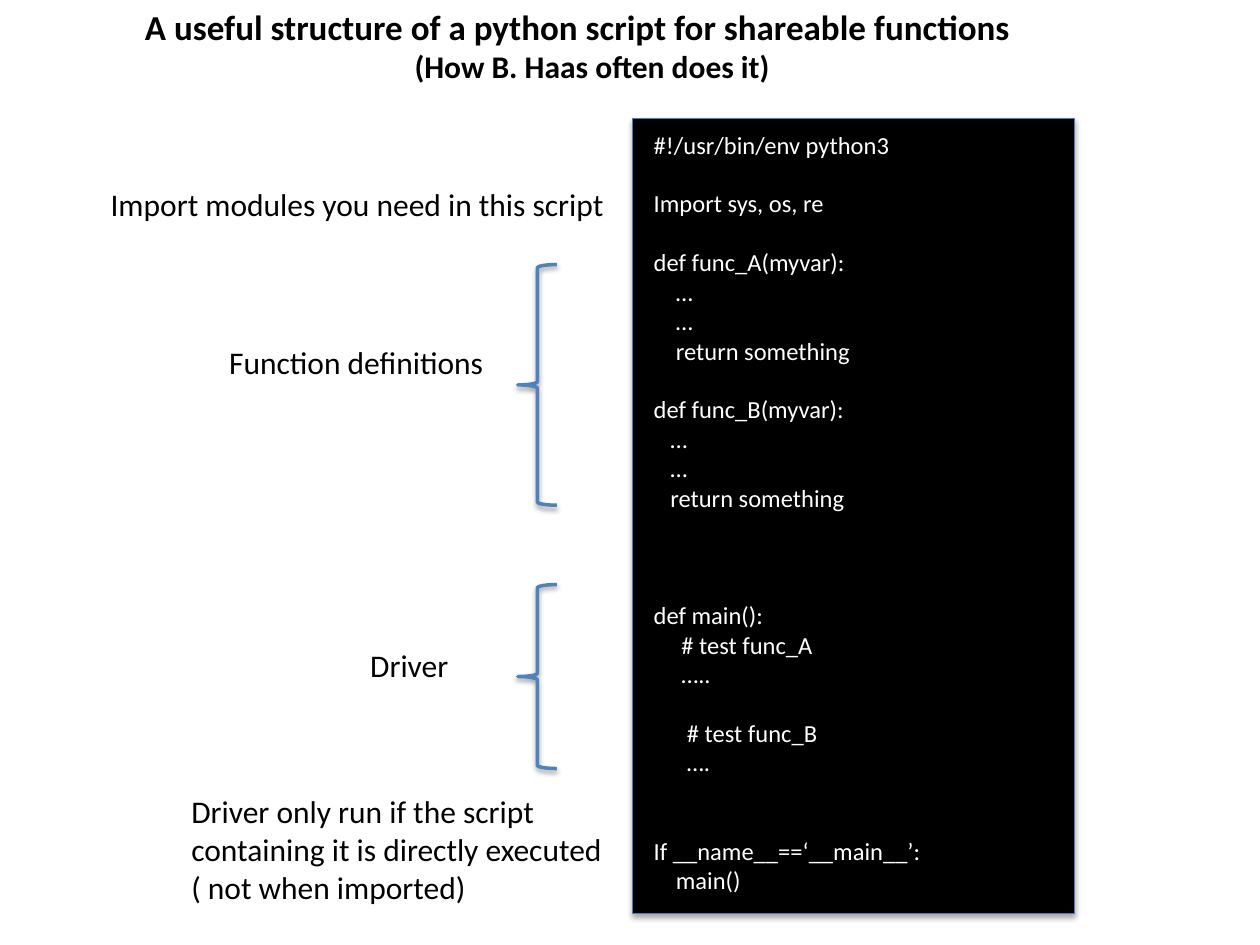
from lxml import etree
from pptx import Presentation
from pptx.dml.color import RGBColor
from pptx.enum.shapes import MSO_SHAPE
from pptx.enum.text import MSO_ANCHOR, PP_ALIGN
from pptx.oxml import parse_xml
from pptx.oxml.ns import nsdecls
from pptx.util import Inches, Pt

RECT, BRACE = MSO_SHAPE.RECTANGLE, MSO_SHAPE.LEFT_BRACE
LEFT, TOP = PP_ALIGN.LEFT, MSO_ANCHOR.TOP
FONT = "Calibri"
BLACK, WHITE, BLUE, DARK_BLUE = "000000", "FFFFFF", "4F81BD", "4B7EBC"
CODE_LINE = 16.8  # height of one line of code, in points

# Code blocks: blank lines above the block, then its lines
CODE = [
    (0, ["#!/usr/bin/env python3"]),
    (1, ["Import sys, os, re"]),
    (1, ["def func_A(myvar):", "    …", "    …", "    return something"]),
    (1, ["def func_B(myvar):", "   …", "   …", "   return something"]),
    (3, ["def main():", "     # test func_A", "     ….."]),
    (1, ["      # test func_B", "      …."]),
    (2, ["If __name__==‘__main__’:", "    main()"]),
]

# Notes beside the code: left, top, width, height, lines
NOTES = [
    (0.78, 1.42, 4.16, 0.4, ["Import modules you need in this script"]),
    (1.72, 2.67, 2.25, 0.4, ["Function definitions"]),
    (2.84, 5.08, 0.83, 0.4, ["Driver"]),
    (1.42, 6.24, 3.51, 1.01,
     ["Driver only run if the script containing it is directly executed",
      "( not when imported)"]),
]

# Braces: top, height
BRACES = [(2.1, 1.91), (4.64, 1.46)]


def rgb(value):
    return RGBColor.from_string(value)


def place(sp, left, top, width, height):
    sp.left, sp.top = Inches(left), Inches(top)
    sp.width, sp.height = Inches(width), Inches(height)


def add_line(tf, text, size=18, color=BLACK, bold=False, before=0, indent=0):
    """Write one paragraph, using the empty first one when it is free."""
    p = tf.paragraphs[0]
    if p.runs:
        p = tf.add_paragraph()
    if indent:
        p._p.get_or_add_pPr().set("marL", str(Inches(indent)))
    p.alignment = LEFT
    if before:
        p.space_before = Pt(before)
    r = p.add_run()
    r.text = text
    r.font.name, r.font.size, r.font.bold = FONT, Pt(size), bold
    r.font.color.rgb = rgb(color)


def add_text_frame(s, left, top, width, height, wrap=False):
    tf = s.shapes.add_textbox(Inches(left), Inches(top),
                              Inches(width), Inches(height)).text_frame
    tf.word_wrap = wrap
    return tf


def add_shadow(sp, opacity, distance):
    sp.shadow.inherit = False
    effects = sp._element.spPr.find(
        "{http://schemas.openxmlformats.org/drawingml/2006/main}effectLst")
    shadow = parse_xml(
        f'<a:outerShdw {nsdecls("a")} blurRad="{Pt(3.1)}" dist="{Pt(distance)}" '
        'dir="5400000" rotWithShape="0"/>')
    color = etree.SubElement(shadow, effects.tag.replace("effectLst", "srgbClr"),
                             val=BLACK)
    etree.SubElement(color, effects.tag.replace("effectLst", "alpha"),
                     val=str(opacity * 1000))
    effects.append(shadow)


def add_outlined(s, kind, left, top, width, height, line, weight, fill=None):
    sp = s.shapes.add_shape(kind, Inches(left), Inches(top),
                            Inches(width), Inches(height))
    if fill:
        sp.fill.solid()
        sp.fill.fore_color.rgb = rgb(fill)
    else:
        sp.fill.background()
    sp.line.color.rgb = rgb(line)
    sp.line.width = Pt(weight)
    return sp


def add_title(s):
    sp = s.shapes.title
    place(sp, 1.05, -0.01, 7.13, 0.77)
    tf = sp.text_frame
    tf.word_wrap, tf.vertical_anchor = False, TOP
    add_line(tf, "A useful structure of a python script for shareable functions",
             size=20, bold=True)
    add_line(tf, "(How B. Haas often does it)", bold=True, indent=2.14)


def add_code(s):
    panel = add_outlined(s, RECT, 5.02, 0.94, 3.51, 6.31, DARK_BLUE, 0.75, BLACK)
    add_shadow(panel, 35, 1.8)
    tf = add_text_frame(s, 5.09, 0.98, 2.34, 6.23)
    for blanks, lines in CODE:
        for i, text in enumerate(lines):
            before = 0 if i else blanks * CODE_LINE
            add_line(tf, text, size=14, color=WHITE, before=before)


def main():
    prs = Presentation()
    prs.slide_width, prs.slide_height = Inches(10), Inches(7.5)
    s = prs.slides.add_slide(prs.slide_layouts[5])  # title only
    add_title(s)
    add_code(s)
    for top, height in BRACES:
        add_shadow(add_outlined(s, BRACE, 4.11, top, 0.31, height, BLUE, 2), 38, 1.6)
    for left, top, width, height, lines in NOTES:
        tf = add_text_frame(s, left, top, width, height, wrap=len(lines) > 1)
        for text in lines:
            add_line(tf, text)
    prs.save("out.pptx")


if __name__ == "__main__":
    main()
